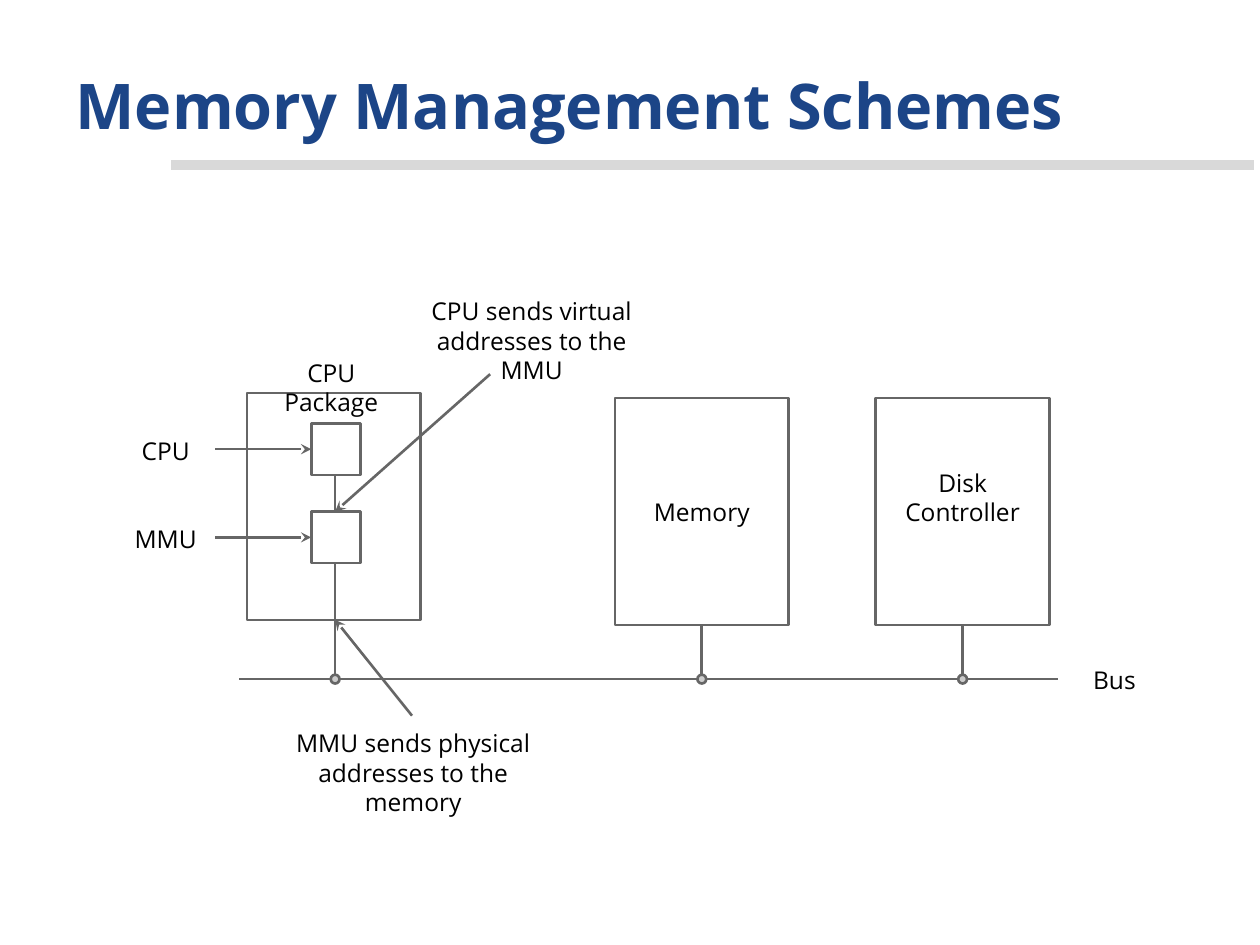
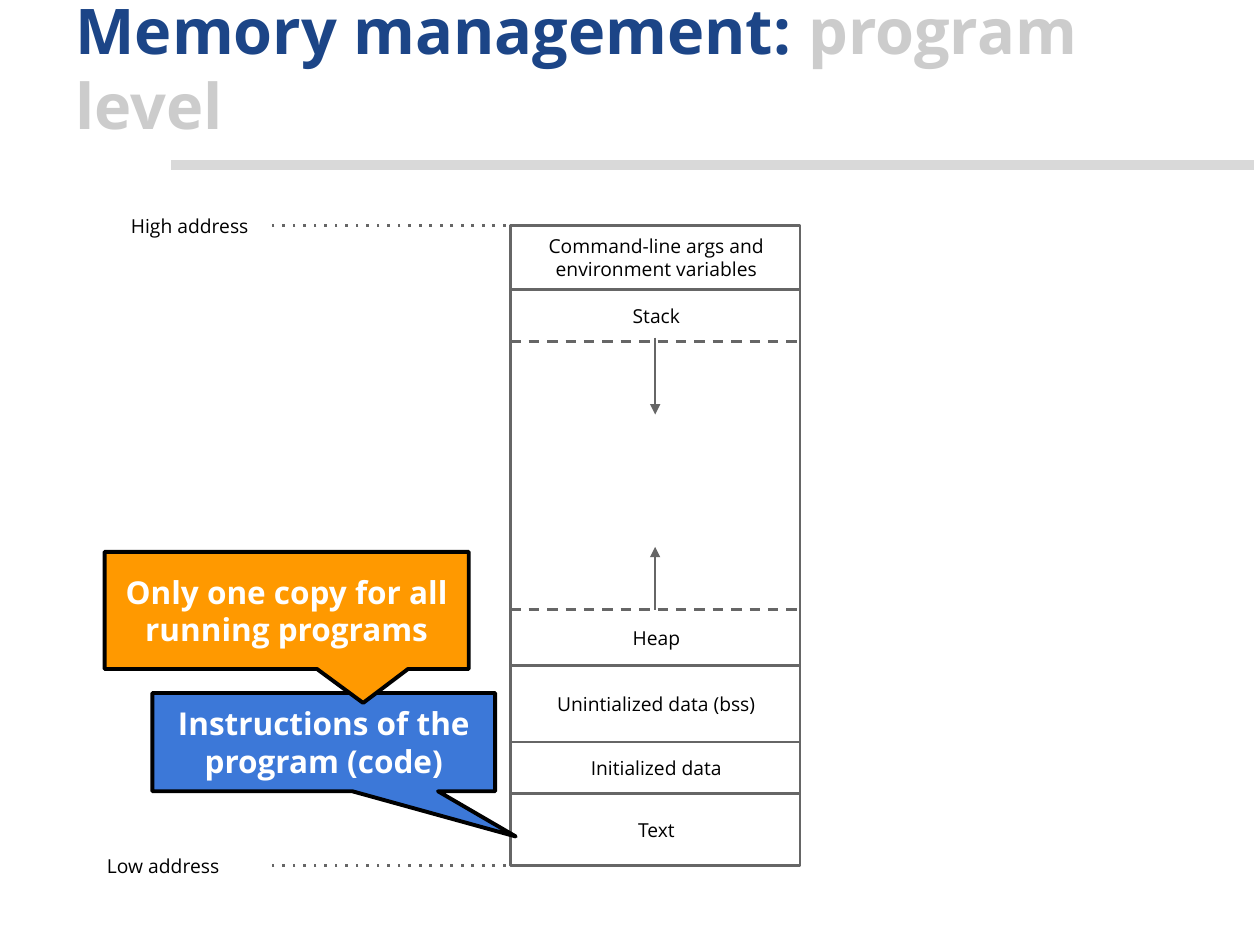
from lxml import etree
from pptx import Presentation
from pptx.dml.color import RGBColor
from pptx.enum.shapes import MSO_CONNECTOR, MSO_SHAPE
from pptx.enum.text import MSO_ANCHOR, MSO_AUTO_SIZE, PP_ALIGN
from pptx.oxml.ns import qn
from pptx.util import Inches, Pt

RECT, OVAL = MSO_SHAPE.RECTANGLE, MSO_SHAPE.OVAL
CALLOUT = MSO_SHAPE.ROUNDED_RECTANGULAR_CALLOUT
STRAIGHT = MSO_CONNECTOR.STRAIGHT
TOP, MIDDLE, BOTTOM = MSO_ANCHOR.TOP, MSO_ANCHOR.MIDDLE, MSO_ANCHOR.BOTTOM
LEFT, CENTER = PP_ALIGN.LEFT, PP_ALIGN.CENTER
NO_FIT = MSO_AUTO_SIZE.NONE

FONT = "Open Sans"
NAVY, SILVER, RULE_GRAY, LINE_GRAY = "1C4587", "CCCCCC", "D9D9D9", "666666"
WHITE, BLACK, BLUE, ORANGE = "FFFFFF", "000000", "3C78D8", "FF9900"
INSET = 0.1
TITLE_TOP, TITLE_HEIGHT = 0.3, 0.93


def rgb(value):
    return RGBColor.from_string(value)


def write(frame, runs, size, bold=False, align=CENTER, anchor=TOP, bottom_inset=INSET):
    """Fill a text frame with one paragraph of (text, colour) runs."""
    settings = {
        "word_wrap": True,
        "auto_size": NO_FIT,
        "vertical_anchor": anchor,
        "margin_left": Inches(INSET),
        "margin_top": Inches(INSET),
        "margin_right": Inches(INSET),
        "margin_bottom": Inches(bottom_inset),
    }
    for attribute, value in settings.items():
        setattr(frame, attribute, value)
    paragraph = frame.paragraphs[0]
    paragraph.alignment = align
    for text, color in runs:
        run = paragraph.add_run()
        run.text = text
        for attribute, value in {"name": FONT, "size": Pt(size), "bold": bold}.items():
            setattr(run.font, attribute, value)
        run.font.color.rgb = rgb(color)


def add_label(slide, text, left, top, width, height, size=14, **layout):
    label = slide.shapes.add_textbox(*map(Inches, (left, top, width, height)))
    write(label.text_frame, [(text, BLACK)], size, **layout)


def add_box(slide, left, top, width, height, kind=RECT, fill=WHITE,
            line=LINE_GRAY, weight=1.5):
    box = slide.shapes.add_shape(kind, *map(Inches, (left, top, width, height)))
    box.shadow.inherit = False
    box.fill.solid()
    box.fill.fore_color.rgb = rgb(fill)
    box.line.color.rgb = rgb(line)
    box.line.width = Pt(weight)
    return box


def add_line(slide, x1, y1, x2, y2, color=LINE_GRAY, weight=1.5, dash=None, tail=None):
    connector = slide.shapes.add_connector(STRAIGHT, *map(Inches, (x1, y1, x2, y2)))
    connector.line.color.rgb = rgb(color)
    connector.line.width = Pt(weight)
    properties = connector.line._get_or_add_ln()
    if dash:
        etree.SubElement(properties, qn("a:prstDash"), val=dash)
    if tail:
        etree.SubElement(properties, qn("a:tailEnd"), type=tail)
    etree.SubElement(connector._element.spPr, qn("a:effectLst"))


def add_titled_slide(presentation, title_runs, title_width):
    slide = presentation.slides.add_slide(presentation.slide_layouts[5])
    add_line(slide, 1.36, 1.31, 9.95, 1.31, RULE_GRAY, 6)
    title = slide.shapes.title
    title.left, title.top, title.width, title.height = map(
        Inches, (0.5, TITLE_TOP, title_width, TITLE_HEIGHT))
    write(title.text_frame, title_runs, 36, bold=True, align=LEFT, anchor=BOTTOM)
    return slide


def add_cpu_package(slide, left, top):
    """Draw the package with its CPU and MMU units, and the notes on them."""
    width, height = 1.38, 1.8
    unit_left, unit_width, unit_height = left + 0.51, 0.39, 0.41
    center = left + 0.7
    cpu_top, mmu_top = top + 0.24, top + 0.94
    add_box(slide, left, top, width, height)
    for name, unit_top in (("CPU", cpu_top), ("MMU", mmu_top)):
        add_box(slide, unit_left, unit_top, unit_width, unit_height)
        add_label(slide, name, left - 1.04, unit_top, 0.79, 0.41)
        middle = unit_top + unit_height / 2
        add_line(slide, left - 0.25, middle, unit_left, middle, tail="stealth")
    add_line(slide, center, cpu_top + unit_height, center, mmu_top)
    add_label(slide, "CPU Package", left, top - 0.38, 1.34, 0.41)

    add_label(slide, "CPU sends virtual addresses to the MMU",
              left + 1.19, top - 0.87, 2.14, 0.41)
    add_line(slide, left + 1.93, top - 0.15, center, mmu_top, tail="stealth")
    add_label(slide, "MMU sends physical addresses to the memory",
              left + 0.25, top + 2.56, 2.14, 0.41)
    add_line(slide, left + 1.31, top + 2.56, center, top + height, tail="stealth")


def add_device(slide, name, left, top, bottom_inset=INSET):
    add_box(slide, left, top, 1.38, 1.8)
    add_label(slide, name, left, top, 1.38, 1.8, anchor=MIDDLE,
              bottom_inset=bottom_inset)


def add_bus(slide, left, top, taps):
    """Draw the bus; taps lists the (x, y) points where parts hang down to it."""
    node = 0.07
    add_line(slide, left, top, left + 6.5, top)
    for x, y in taps:
        add_line(slide, x, y, x, top - node / 2)
        add_box(slide, x - node / 2, top - node / 2, node, node, OVAL, SILVER)
    add_label(slide, "Bus", left + 6.55, top - 0.21, 0.79, 0.41)


def add_memory_map(slide, left, top):
    """Draw the address space from high to low addresses."""
    width, height = 2.3, 5.08
    # Label, start and end below the top, dash of the line at the start
    segments = [
        ("Command-line args and environment variables", 0, 0.51, None),
        ("Stack", 0.51, 0.92, None),
        (None, 0.92, 3.05, "dash"),
        ("Heap", 3.05, 3.49, "dash"),
        ("Unintialized data (bss)", 3.49, 4.1, None),
        ("Initialized data", 4.1, 4.51, None),
        ("Text", 4.51, height, None),
    ]
    add_box(slide, left, top, width, height)
    for text, start, end, dash in segments:
        if start:
            add_line(slide, left, top + start, left + width, top + start, dash=dash)
        if text:
            add_label(slide, text, left + 0.01, top + start, width, end - start,
                      size=11, anchor=MIDDLE)
    for text, label_left, y in (("High address", 0.94, top),
                                ("Low address", 0.75, top + height)):
        add_line(slide, left + width, y, 2.14, y, dash="dot")
        add_label(slide, text, label_left, y - 0.17, 1.62, 0.35,
                  size=11, align=LEFT, anchor=MIDDLE)
    center = left + width / 2
    for start, end in ((3.05, 2.55), (0.89, 1.5)):
        add_line(slide, center, top + start, center, top + end, tail="triangle")


def add_callout(slide, text, box, tip, fill):
    """Draw a callout; tip is its offset from the centre in widths and heights."""
    callout = add_box(slide, *box, CALLOUT, fill, BLACK, 2.25)
    for index, value in enumerate((*tip, 0)):
        callout.adjustments[index] = value
    write(callout.text_frame, [(text, WHITE)], 18, bold=True, anchor=MIDDLE)


def build_schemes(presentation):
    slide = add_titled_slide(presentation, [("Memory Management Schemes", NAVY)], 9)
    add_cpu_package(slide, 1.96, 3.12)
    add_device(slide, "Memory", 4.88, 3.16)
    add_device(slide, "Disk Controller", 6.95, 3.16, bottom_inset=0.33)
    add_bus(slide, 1.9, 5.39, [(2.66, 4.47), (5.57, 4.96), (7.64, 4.96)])


def build_program_level(presentation):
    slide = add_titled_slide(
        presentation,
        [("Memory management: ", NAVY), ("program level", SILVER)], 9.41)
    add_memory_map(slide, 4.05, 1.79)
    add_callout(slide, "Instructions of the program (code)",
                (1.21, 5.5, 2.72, 0.78), (0.56, 0.96), BLUE)
    add_callout(slide, "Only one copy for all running programs",
                (0.83, 4.38, 2.89, 0.93), (0.21, 0.79), ORANGE)


def main():
    presentation = Presentation()
    presentation.slide_width = Inches(10)
    presentation.slide_height = Inches(7.5)
    build_schemes(presentation)
    build_program_level(presentation)
    presentation.save("out.pptx")


if __name__ == "__main__":
    main()
